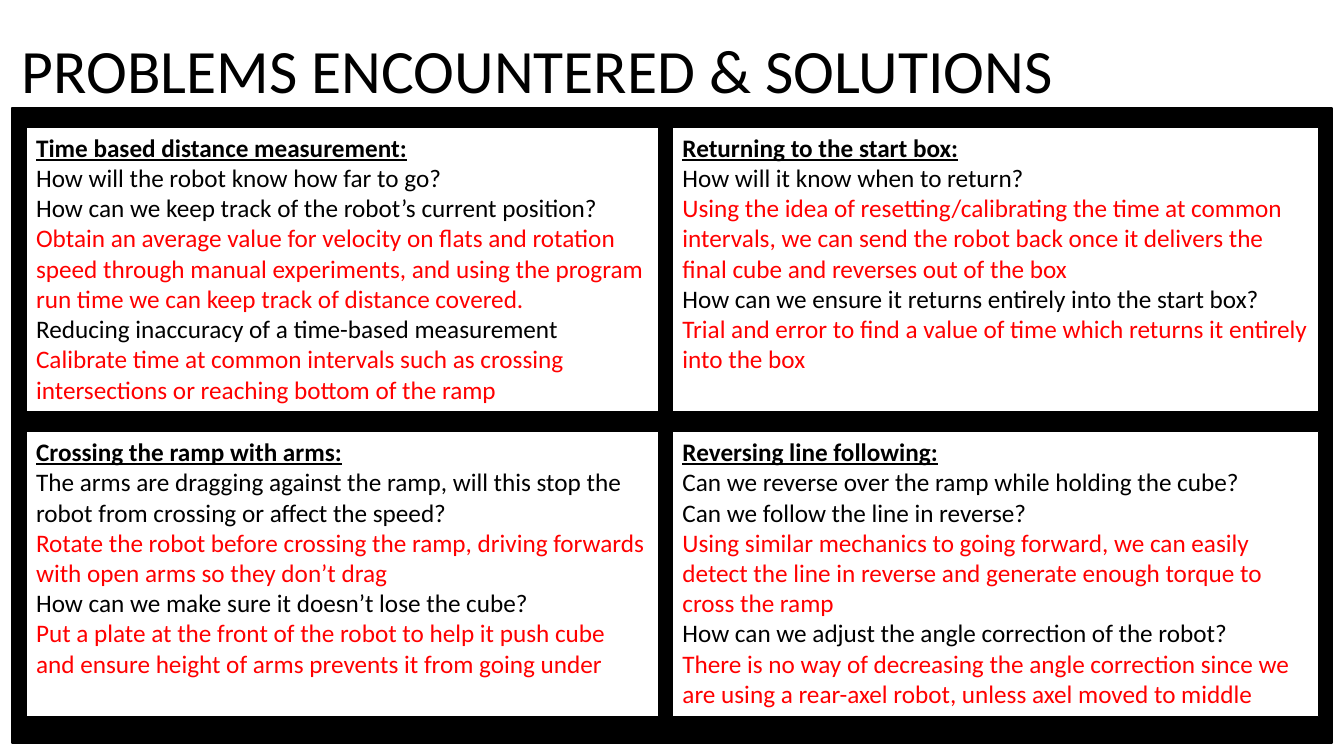
from pptx import Presentation, util as u
from pptx.dml.color import RGBColor
from pptx.enum import shapes, text

BLACK, WHITE, RED = "000000", "FFFFFF", "FF0000"

deck = Presentation()
deck.slide_width, deck.slide_height = u.Inches(13.33), u.Inches(7.5)
slide = deck.slides.add_slide(deck.slide_layouts[6])


def panel(left, top, width, height, fill):
    box = slide.shapes.add_shape(
        shapes.MSO_SHAPE.RECTANGLE, *map(u.Inches, (left, top, width, height)))
    box.shadow.inherit = False
    box.fill.solid()
    box.fill.fore_color.rgb = RGBColor.from_string(fill)
    box.line.color.rgb = RGBColor.from_string(BLACK)
    box.line.width = u.Pt(1)
    return box


def write(para, words, size=18, color=BLACK, head=False, space=1.0):
    para.alignment = text.PP_ALIGN.LEFT
    para.line_spacing = space
    run = para.add_run()
    run.text = words
    font = run.font
    font.name, font.size = "Calibri", u.Pt(size)
    font.bold = font.underline = head
    font.color.rgb = RGBColor.from_string(color)


panel(0.12, 1.07, 13.09, 6.3, BLACK)

title = slide.shapes.add_textbox(*map(u.Inches, (0.12, 0, 11.5, 1.45))).text_frame
title.word_wrap = True
title.vertical_anchor = text.MSO_ANCHOR.MIDDLE
write(title.paragraphs[0], "PROBLEMS ENCOUNTERED & SOLUTIONS", size=44, space=0.9)

# Each topic: heading, then lines paired with their colour
topics = [
    [("Time based distance measurement:", [
        ("How will the robot know how far to go?", BLACK),
        ("How can we keep track of the robot’s current position?", BLACK),
        ("Obtain an average value for velocity on flats and rotation speed through "
         "manual experiments, and using the program run time we can keep track of "
         "distance covered.", RED),
        ("Reducing inaccuracy of a time-based measurement", BLACK),
        ("Calibrate time at common intervals such as crossing intersections or "
         "reaching bottom of the ramp", RED)]),
     ("Returning to the start box:", [
        ("How will it know when to return?", BLACK),
        ("Using the idea of resetting/calibrating the time at common intervals, we "
         "can send the robot back once it delivers the final cube and reverses out "
         "of the box", RED),
        ("How can we ensure it returns entirely into the start box?", BLACK),
        ("Trial and error to find a value of time which returns it entirely into "
         "the box", RED)])],
    [("Crossing the ramp with arms:", [
        ("The arms are dragging against the ramp, will this stop the robot from "
         "crossing or affect the speed?", BLACK),
        ("Rotate the robot before crossing the ramp, driving forwards with open "
         "arms so they don’t drag", RED),
        ("How can we make sure it doesn’t lose the cube?", BLACK),
        ("Put a plate at the front of the robot to help it push cube and ensure "
         "height of arms prevents it from going under", RED)]),
     ("Reversing line following:", [
        ("Can we reverse over the ramp while holding the cube?", BLACK),
        ("Can we follow the line in reverse?", BLACK),
        ("Using similar mechanics to going forward, we can easily detect the line "
         "in reverse and generate enough torque to cross the ramp", RED),
        ("How can we adjust the angle correction of the robot?", BLACK),
        ("There is no way of decreasing the angle correction since we are using a "
         "rear-axel robot, unless axel moved to middle", RED)])],
]

cols = [(0.26, 6.27), (6.67, 6.41)]
first, step, tall = 1.26, 3.02, 2.83

for row, pair in enumerate(topics):
    for (left, width), (head, lines) in zip(cols, pair):
        frame = panel(left, first + row * step, width, tall, WHITE).text_frame
        frame.word_wrap = True
        frame.vertical_anchor = text.MSO_ANCHOR.TOP
        write(frame.paragraphs[0], head, head=True)
        for words, color in lines:
            write(frame.add_paragraph(), words, color=color)

deck.save("out.pptx")
